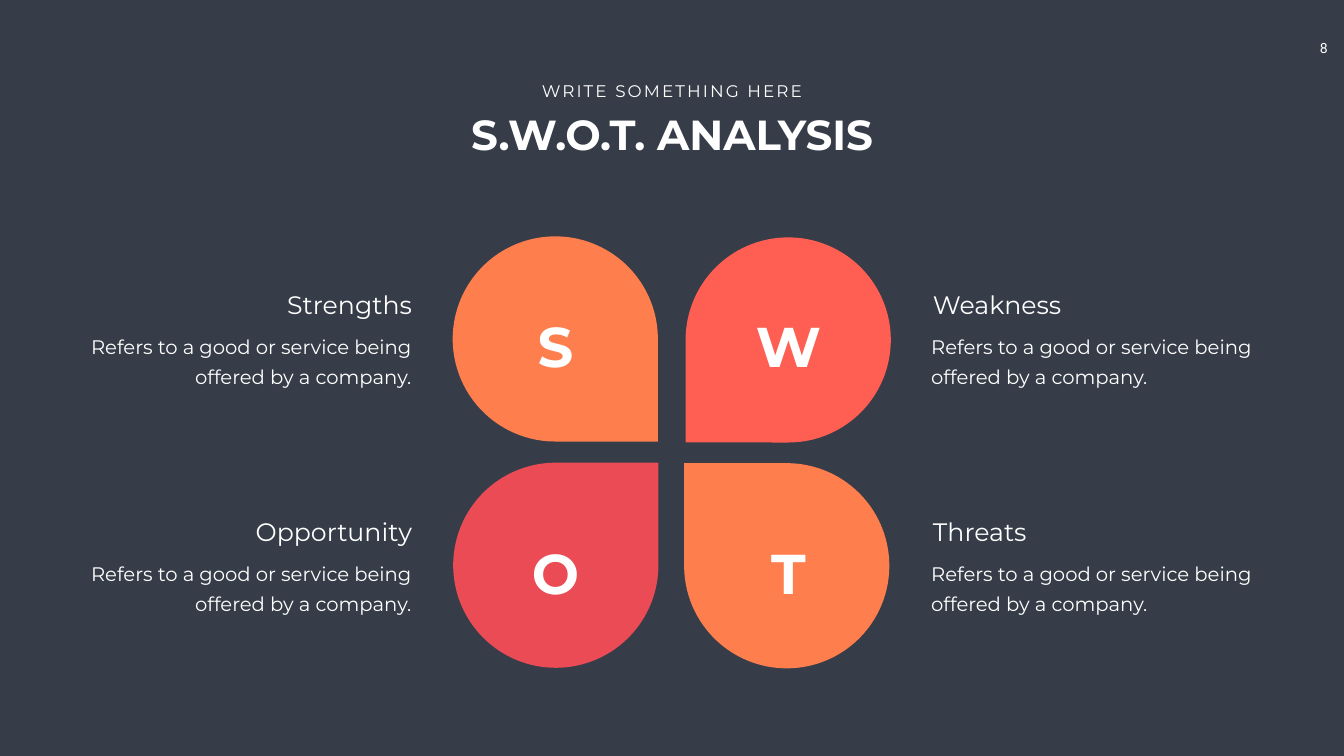
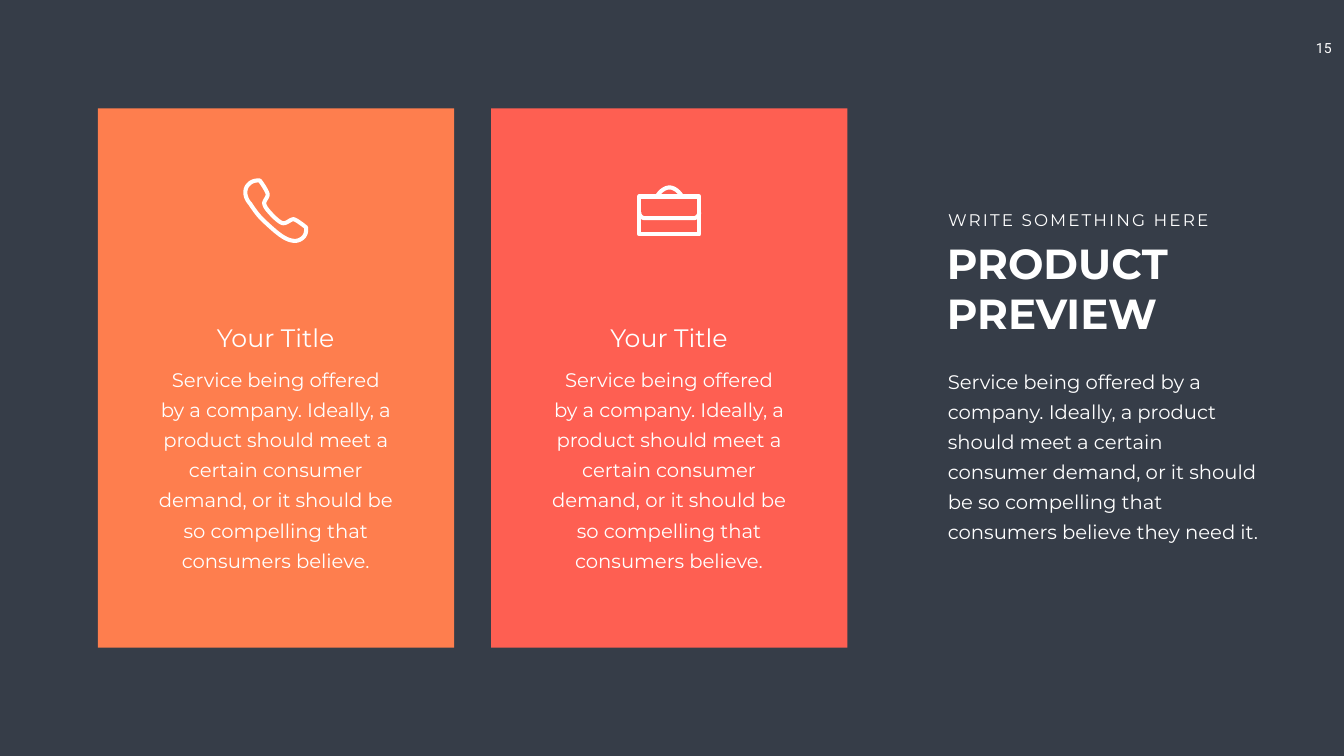
from lxml.etree import SubElement
from pptx import Presentation
from pptx.dml.color import RGBColor
from pptx.enum.shapes import MSO_SHAPE as Shape
from pptx.enum.text import MSO_ANCHOR as Anchor, MSO_AUTO_SIZE as AutoSize, PP_ALIGN as Align
from pptx.oxml.ns import qn
from pptx.util import Inches, Pt

NAVY, WHITE = "363D48", "FFFFFF"
ORANGE, CORAL, RED = "FE7E4E", "FE5F52", "EA4B54"
KICKER = "WRITE SOMETHING HERE"
SWOT_TEXT = "Refers to a good or service being offered by a company."
PITCH = "Service being offered by a company. Ideally, a product should meet a certain consumer demand, or it should be so compelling that consumers believe"

PHONE = [[
    (32, 4), (25, 4, 14, 4, 6, 17), (-1, 32, 9, 46, 13, 50), (21, 62, 28, 72, 36, 80),
    (44, 88, 53, 96, 61, 103), (73, 113, 87, 124, 102, 124), (112, 124, 127, 116, 124, 97),
    (120, 94, 104, 81, 99, 81), (93, 81, 87, 89, 79, 89), (74, 89, 65, 81, 60, 76),
    (50, 66, 41, 56, 41, 49), (41, 44, 48, 38, 48, 32), (48, 27, 37, 10, 32, 4),
]]
BRIEFCASE = [
    [(4, 22), (123, 22), (123, 97), (4, 97), (4, 22)],
    [(39, 22), (46, 10, 56, 4, 64, 4), (72, 4, 82, 10, 89, 22)],
    [(4, 53), (4, 60, 9, 65, 16, 65), (111, 65), (118, 65, 123, 60, 123, 53)],
]


def color(value):
    return RGBColor.from_string(value)


def trace(contour, steps=10):
    """Turn straight and cubic segments, in hundredths of an inch, into points."""
    points = [contour[0]]
    for segment in contour[1:]:
        if len(segment) == 2:
            points.append(segment)
            continue
        corners = [points[-1], segment[:2], segment[2:4], segment[4:]]
        for step in range(1, steps + 1):
            t = step / steps
            weights = ((1 - t) ** 3, 3 * t * (1 - t) ** 2, 3 * t * t * (1 - t), t ** 3)
            points.append(tuple(sum(w * c[axis] for w, c in zip(weights, corners))
                                for axis in (0, 1)))
    return [(Inches(x / 100), Inches(y / 100)) for x, y in points]


class Pages:
    """Holds the style and the current slide; lengths are percent of the slide's size."""

    def __init__(self):
        self.deck = Presentation()
        self.deck.slide_width, self.deck.slide_height = Inches(26.66), Inches(15)
        background = self.deck.slide_master.background.fill
        background.solid()
        background.fore_color.rgb = color(NAVY)

    def place(self, left, top, width=0, height=0):
        across, down = self.deck.slide_width / 100, self.deck.slide_height / 100
        return [round(share * unit) for share, unit in
                zip((left, top, width, height), (across, down, across, down))]

    def start(self, number, title, title_area, kicker_area, align):
        self.page = self.deck.slides.add_slide(self.deck.slide_layouts[5])
        box = self.page.shapes.title
        box.left, box.top, box.width, box.height = self.place(*title_area)
        self.fill_text(box, title, 60, align, bold=True)
        kicker = self.text(KICKER, kicker_area, 24, align)
        kicker.text_frame.word_wrap = False
        for span in kicker.text_frame.paragraphs[0].runs:
            span._r.get_or_add_rPr().set("spc", "300")
        self.text(str(number), (97, 4.5, 3, 3.6), 20, Align.CENTER,
                  font="Roboto", insets=(0, 0.1))

    def fill_text(self, box, words, size, align, bold=False, font="Montserrat",
                  insets=(0.1, 0.05), leading=None):
        frame = box.text_frame
        frame.text = words
        frame.word_wrap, frame.auto_size = True, AutoSize.NONE
        frame.vertical_anchor = Anchor.TOP
        frame.margin_left = frame.margin_right = Inches(insets[0])
        frame.margin_top = frame.margin_bottom = Inches(insets[1])
        para = frame.paragraphs[0]
        para.alignment = align
        if leading:
            para.line_spacing = Pt(leading)
        for span in para.runs:
            span.font.name, span.font.size, span.font.bold = font, Pt(size), bold
            span.font.color.rgb = color(WHITE)

    def text(self, words, area, size, align, **style):
        box = self.page.shapes.add_textbox(*self.place(*area))
        self.fill_text(box, words, size, align, **style)
        return box

    def heading(self, words, area, align):
        self.text(words, area, 36, align)

    def body(self, words, area, align):
        self.text(words, area, 28, align, insets=(0.24, 0.12), leading=43)

    def shape(self, kind, area, fill, turn=0):
        figure = self.page.shapes.add_shape(kind, *self.place(*area))
        figure.shadow.inherit = False
        figure.fill.solid()
        figure.fill.fore_color.rgb = color(fill)
        figure.line.fill.background()
        figure.rotation = turn

    def icon(self, contours, left, top):
        traces = [trace(contour) for contour in contours]
        builder = self.page.shapes.build_freeform(*traces[0][0], scale=1.0)
        for points in traces:
            if points is not traces[0]:
                builder.move_to(*points[0])
            builder.add_line_segments(points[1:], close=points[0] == points[-1])
        figure = builder.convert_to_shape(*self.place(left, top)[:2])
        figure.shadow.inherit = False
        figure.fill.background()
        figure.line.color.rgb = color(WHITE)
        figure.line.width = Pt(5.8)
        SubElement(figure._element.spPr.find(qn("a:ln")), qn("a:round"))


def swot_page(pages):
    pages.start(8, "S.W.O.T. ANALYSIS", (31.28, 14, 37.44, 7.4),
                (39.76, 10.33, 20.48, 3.33), Align.CENTER)
    petals = [
        ("Strengths", "S", ORANGE, 90, 33.68, 31.27),
        ("Weakness", "W", CORAL, 180, 51.01, 31.4),
        ("Opportunity", "O", RED, 0, 33.72, 61.2),
        ("Threats", "T", ORANGE, 270, 50.9, 61.27),
    ]
    sides = [(9.75, 5.25, Align.RIGHT), (69.05, 68.38, Align.LEFT)]
    for index, (name, letter, fill, turn, left, top) in enumerate(petals):
        row, column = divmod(index, 2)
        drop = 30 * row
        heading_left, body_left, align = sides[column]
        pages.shape(Shape.TEAR, (left, top, 15.27, 27.13), fill, turn)
        pages.text(letter, (37.06 + 17.33 * column, 40.93 + drop, 8.55, 9.67), 80,
                   Align.CENTER, bold=True)
        pages.heading(name, (heading_left, 37.93 + drop, 21.27, 4.73), align)
        pages.body(SWOT_TEXT, (body_left, 42.67 + drop, 26.26, 9.27), align)


def product_page(pages):
    pages.start(15, "PRODUCT PREVIEW", (70.07, 31.07, 23.82, 14.13),
                (70.18, 27.47, 20.48, 3.33), Align.LEFT)
    pages.body(PITCH + " they need it.", (69.62, 47.2, 25.28, 25.33), Align.LEFT)
    cards = [(ORANGE, PHONE, 18.12, 23.6), (CORAL, BRIEFCASE, 47.41, 24.53)]
    for column, (fill, contours, left, top) in enumerate(cards):
        shift = 29.26 * column
        pages.shape(Shape.RECTANGLE, (7.28 + shift, 14.33, 26.52, 71.33), fill)
        pages.icon(contours, left, top)
        pages.heading("Your Title", (10.84 + shift, 42.33, 19.35, 4.73), Align.CENTER)
        pages.body(PITCH + ".", (10.84 + shift, 47, 19.35, 29.4), Align.CENTER)


def main():
    pages = Pages()
    swot_page(pages)
    product_page(pages)
    pages.deck.save("out.pptx")


if __name__ == "__main__":
    main()
